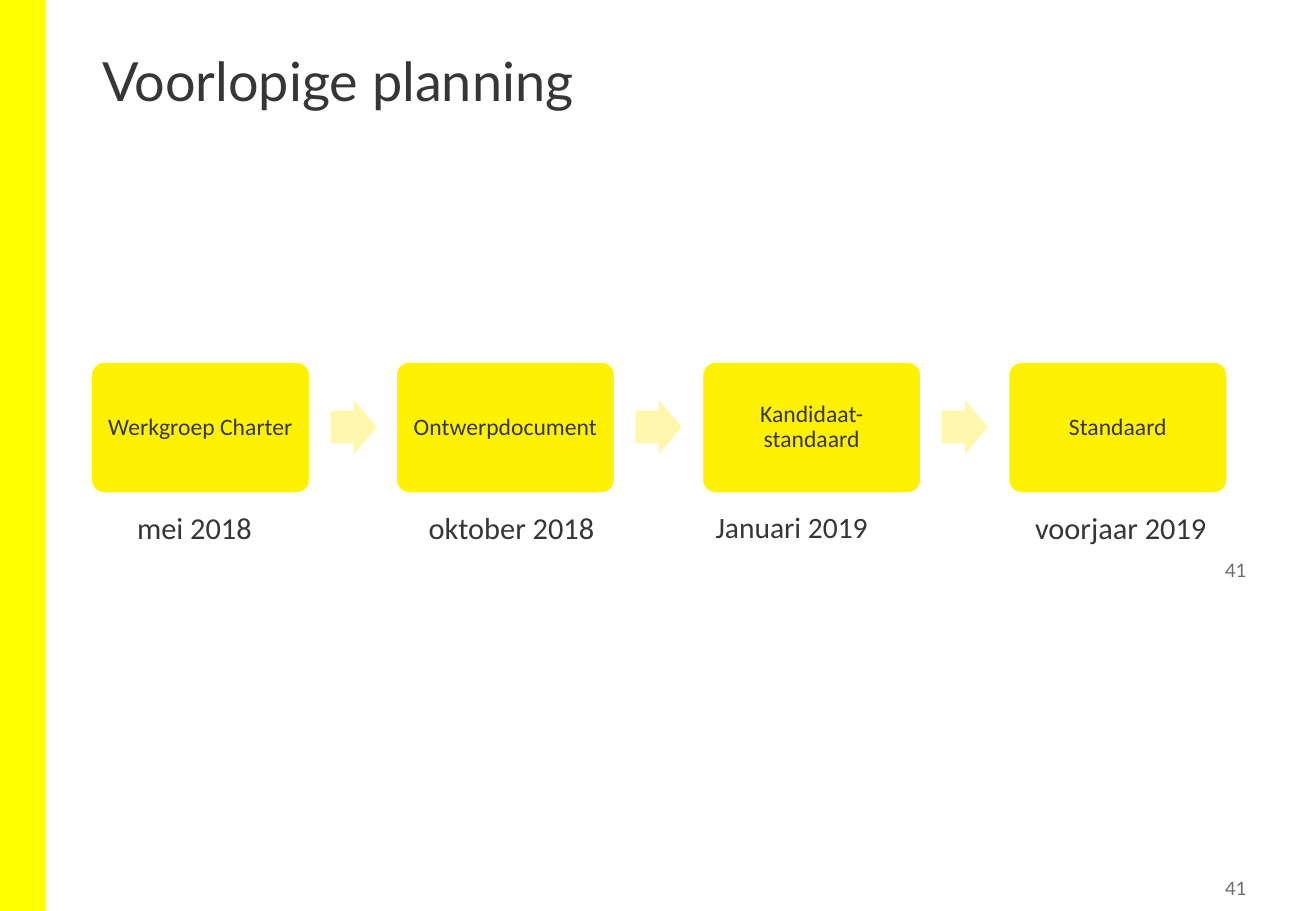
"""Build the provisional planning slide: four milestones joined by arrows."""
from pptx import Presentation
from pptx.dml.color import RGBColor
from pptx.enum.shapes import MSO_SHAPE
from pptx.enum.text import MSO_ANCHOR, PP_ALIGN
from pptx.util import Pt

RECT, ROUNDED, ARROW = MSO_SHAPE.RECTANGLE, MSO_SHAPE.ROUNDED_RECTANGLE, MSO_SHAPE.RIGHT_ARROW
LEFT, CENTER, RIGHT = PP_ALIGN.LEFT, PP_ALIGN.CENTER, PP_ALIGN.RIGHT
TOP, MIDDLE = MSO_ANCHOR.TOP, MSO_ANCHOR.MIDDLE

PX = 9144
THEME = {
    "band": "FFFF00", "box": "FFF200", "arrow": "FFF7AB", "edge": "FFFFFF",
    "title": {"name": "Lato", "size": 32, "color": "373636"},
    "page": {"name": "Lato", "size": 11, "color": "6B6B6B"},
    "step": {"name": "Calibri", "size": 14, "color": "373636"},
    "date": {"name": "Calibri", "size": 18, "color": "373636"},
    "date_small": {"name": "Calibri", "size": 17.5, "color": "373636"},
}


def add_block(kind, box, fill, adjustments=()):
    sp = s.shapes.add_shape(kind, *[v * PX for v in box])
    sp.shadow.inherit = False
    sp.fill.solid()
    sp.fill.fore_color.rgb = RGBColor.from_string(THEME[fill])
    sp.line.fill.background()
    for i, value in enumerate(adjustments):
        sp.adjustments[i] = value
    return sp


def write(sp, text, style, align=LEFT, anchor=TOP, inset=(10, 5), wrap=True, spacing=1.0):
    tf = sp.text_frame
    x, y = [v * PX for v in inset]
    frame = {"word_wrap": wrap, "vertical_anchor": anchor, "margin_left": x,
             "margin_right": x, "margin_top": y, "margin_bottom": y}
    for name, value in frame.items():
        setattr(tf, name, value)
    p = tf.paragraphs[0]
    p.alignment, p.line_spacing = align, spacing
    r = p.add_run()
    r.text = text
    font = THEME[style]
    r.font.name, r.font.size = font["name"], Pt(font["size"])
    r.font.color.rgb = RGBColor.from_string(font["color"])


prs = Presentation()
prs.slide_width, prs.slide_height = 1083 * PX, 750 * PX
s = prs.slides.add_slide(prs.slide_layouts[5])

title = s.shapes.title
title.left, title.top, title.width, title.height = [v * PX for v in (74, 40, 934, 108)]
write(title, "Voorlopige planning", "title", spacing=0.9)

add_block(RECT, (0, 0, 38, 750), "band")

for y in (717, 455):
    page = s.shapes.add_textbox(950 * PX, y * PX, 81 * PX, 29 * PX)
    write(page, "41", "page", RIGHT, MIDDLE, (5, 5))

steps = [
    ("Werkgroep Charter", "mei 2018", 103, 116, "date"),
    ("Ontwerpdocument", "oktober 2018", 343, 158, "date"),
    ("Kandidaat-standaard", "Januari 2019", 579, 147, "date_small"),
    ("Standaard", "voorjaar 2019", 842, 163, "date"),
]
START, PITCH = 75, 251.5
for i, (step, date, date_x, date_w, date_style) in enumerate(steps):
    x = round(START + i * PITCH)
    box = add_block(ROUNDED, (x, 298, 180, 108), "box", [0.1])
    box.line.color.rgb = RGBColor.from_string(THEME["edge"])
    box.line.width = Pt(1)
    write(box, step, "step", CENTER, MIDDLE, (6, 6), spacing=0.9)
    if i < len(steps) - 1:
        add_block(ARROW, (x + 197, 329, 38, 45), "arrow", [0.6, 0.5])
    label = s.shapes.add_textbox(date_x * PX, 414 * PX, date_w * PX, 40 * PX)
    write(label, date, date_style, wrap=False)

prs.save("out.pptx")
